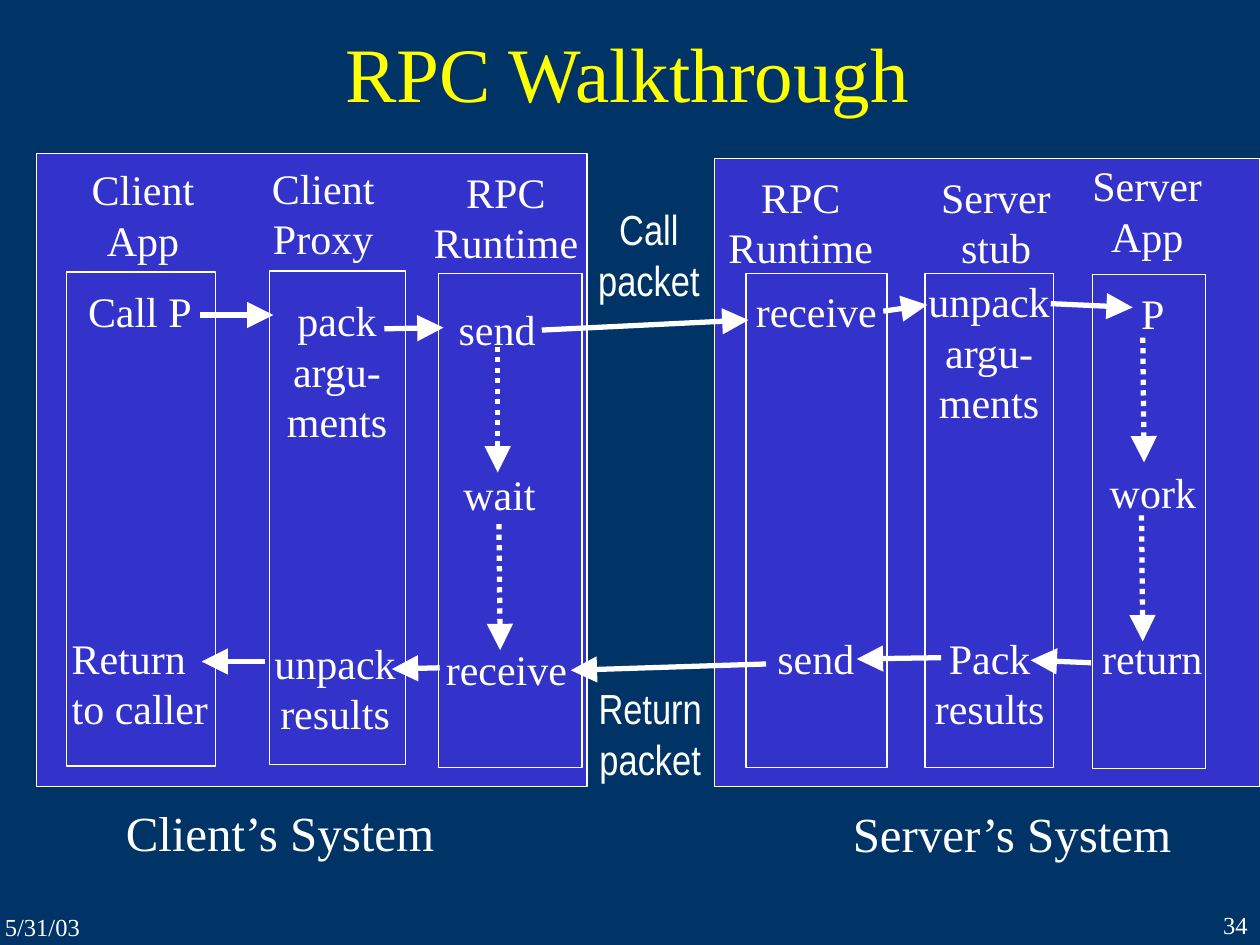
from dataclasses import dataclass

from lxml import etree
from pptx import Presentation
from pptx.dml.color import RGBColor
from pptx.enum import dml, shapes, text
from pptx.oxml.ns import qn
from pptx.shapes import shapetree as tree
from pptx.util import Inches, Pt

NAVY, PANEL_BLUE, WHITE, YELLOW = "003366", "3333CC", "FFFFFF", "FFFF00"
SERIF, NARROW = "Times New Roman", "Arial Narrow"
LEFT, CENTER, RIGHT = text.PP_ALIGN.LEFT, text.PP_ALIGN.CENTER, text.PP_ALIGN.RIGHT
COLUMN_HEIGHT = 3.92


@dataclass(frozen=True)
class Box:
    left: float
    top: float
    width: float
    height: float
    fill: str | None = None


@dataclass(frozen=True)
class Label:
    wording: str
    left: float
    top: float
    width: float
    size: int = 24
    font: str = SERIF
    align: text.PP_ALIGN = CENTER
    color: str = WHITE


@dataclass(frozen=True)
class Arrow:
    x1: float
    y1: float
    x2: float
    y2: float
    dotted: bool = False


@dataclass(frozen=True)
class System:
    panel: Box
    columns: list[Box]
    labels: list[Label]
    arrows: list[Arrow]


def rgb(code: str) -> RGBColor:
    return RGBColor.from_string(code)


def draw_box(parent: tree._BaseGroupShapes, box: Box) -> None:
    rect = parent.add_shape(shapes.MSO_SHAPE.RECTANGLE, Inches(box.left),
                            Inches(box.top), Inches(box.width), Inches(box.height))
    rect.shadow.inherit = False
    if box.fill:
        rect.fill.solid()
        rect.fill.fore_color.rgb = rgb(box.fill)
    else:
        rect.fill.background()
    rect.line.color.rgb = rgb(WHITE)
    rect.line.width = Pt(0.74)


def draw_label(parent: tree._BaseGroupShapes, label: Label) -> None:
    lines = label.wording.split("\n")
    height = 0.1 + len(lines) * label.size / 60
    frame = parent.add_textbox(Inches(label.left), Inches(label.top),
                               Inches(label.width), Inches(height)).text_frame
    frame.word_wrap = False
    frame.auto_size = text.MSO_AUTO_SIZE.SHAPE_TO_FIT_TEXT
    # Narrower insets on the free sides leave each line room to stay whole
    frame.margin_left = Inches(0.1 if label.align == LEFT else 0.05)
    frame.margin_right = Inches(0.1 if label.align == RIGHT else 0.05)
    frame.text = label.wording
    for paragraph in frame.paragraphs:
        paragraph.alignment = label.align
        paragraph.font.size = Pt(label.size)
        paragraph.font.name = label.font
        paragraph.font.color.rgb = rgb(label.color)


def draw_arrow(parent: tree._BaseGroupShapes, arrow: Arrow) -> None:
    link = parent.add_connector(shapes.MSO_CONNECTOR.STRAIGHT, Inches(arrow.x1),
                                Inches(arrow.y1), Inches(arrow.x2), Inches(arrow.y2))
    link.line.color.rgb = rgb(WHITE)
    link.line.width = Pt(3)
    if arrow.dotted:
        link.line.dash_style = dml.MSO_LINE.ROUND_DOT
    properties = link._element.spPr
    etree.SubElement(properties.find(qn("a:ln")), qn("a:tailEnd"),
                     type="triangle", w="lg", len="lg")
    etree.SubElement(properties, qn("a:effectLst"))


def draw_system(parent: tree._BaseGroupShapes, system: System) -> None:
    group = parent.add_group_shape().shapes
    for box in [system.panel, *system.columns]:
        draw_box(group, box)
    for label in system.labels:
        draw_label(group, label)
    for arrow in system.arrows:
        draw_arrow(group, arrow)


# The two machines
server = System(
    panel=Box(5.67, 1.26, 4.33, 4.98, PANEL_BLUE),
    columns=[Box(5.92, 2.17, 1.12, COLUMN_HEIGHT),
             Box(7.34, 2.17, 1.02, COLUMN_HEIGHT),
             Box(8.67, 2.18, 0.9, COLUMN_HEIGHT)],
    labels=[
        Label("RPC\nRuntime", 5.68, 1.31, 1.35),
        Label("Server\nstub", 7.37, 1.31, 1.07),
        Label("Server\nApp", 8.57, 1.22, 1.07),
        Label("receive", 5.9, 2.22, 1.16),
        Label("send", 6.07, 4.97, 0.81),
        Label("unpack\nargu-\nments", 7.27, 2.14, 1.16),
        Label("Pack\nresults", 7.32, 4.97, 1.07),
        Label("P", 8.96, 2.23, 0.38),
        Label("work", 8.71, 3.65, 0.88),
        Label("return", 8.65, 4.97, 0.99),
    ],
    arrows=[
        Arrow(7.01, 2.47, 7.36, 2.42),
        Arrow(8.34, 2.41, 8.99, 2.44),
        Arrow(9.07, 2.68, 9.08, 3.67, dotted=True),
        Arrow(9.06, 4.09, 9.07, 5.09, dotted=True),
        Arrow(8.66, 5.26, 8.18, 5.24),
        Arrow(7.47, 5.22, 6.8, 5.23),
    ],
)
client = System(
    panel=Box(0.29, 1.22, 4.37, 5.02, PANEL_BLUE),
    columns=[Box(0.53, 2.16, 1.18, COLUMN_HEIGHT),
             Box(2.14, 2.15, 1.08, COLUMN_HEIGHT),
             Box(3.48, 2.17, 1.14, COLUMN_HEIGHT)],
    labels=[
        Label("Client\nApp", 0.63, 1.25, 1.01),
        Label("Client\nProxy", 2.06, 1.24, 1.01),
        Label("RPC\nRuntime", 3.34, 1.27, 1.35),
        Label("Call P", 0.6, 2.22, 1.02, align=LEFT),
        Label("Return\nto caller", 0.47, 4.97, 1.28, align=LEFT),
        Label("pack\nargu-\nments", 2.18, 2.29, 0.99),
        Label("unpack\nresults", 2.08, 5.01, 1.16),
        Label("send", 3.54, 2.36, 0.81),
        Label("wait", 3.58, 3.67, 0.77),
        Label("receive", 3.44, 5.06, 1.16),
    ],
    arrows=[
        Arrow(1.59, 2.5, 2.17, 2.5),
        Arrow(3.05, 2.61, 3.52, 2.6),
        Arrow(3.95, 2.75, 3.95, 3.75, dotted=True),
        Arrow(3.96, 4.16, 3.97, 5.16, dotted=True),
        Arrow(3.49, 5.3, 3.11, 5.31),
        Arrow(2.1, 5.25, 1.6, 5.25),
    ],
)

# Title, footer, system names and packets
captions = [
    Label("5/31/03", -0.06, 7.19, 0.92, 14, align=LEFT),
    Label("34", 8.92, 7.17, 1.08, 14, align=RIGHT),
    Label("RPC Walkthrough", 0.73, 0.15, 8.5, 44, color=YELLOW),
    Label("Client’s System", 0.9, 6.32, 2.67, 28, align=LEFT),
    Label("Server’s System", 6.67, 6.33, 2.73, 28, align=LEFT),
    Label("Call\npacket", 4.65, 1.57, 1, font=NARROW),
    Label("Return\npacket", 4.65, 5.37, 1.02, font=NARROW),
]
packets = [Arrow(4.3, 2.62, 5.94, 2.54), Arrow(6.08, 5.27, 4.53, 5.32)]

# Slide
deck = Presentation()
deck.slide_width, deck.slide_height = Inches(10), Inches(7.5)
slide = deck.slides.add_slide(deck.slide_layouts[6])
slide.background.fill.solid()
slide.background.fill.fore_color.rgb = rgb(NAVY)

for machine in (server, client):
    draw_system(slide.shapes, machine)
for caption in captions:
    draw_label(slide.shapes, caption)
for packet in packets:
    draw_arrow(slide.shapes, packet)

deck.save("out.pptx")
